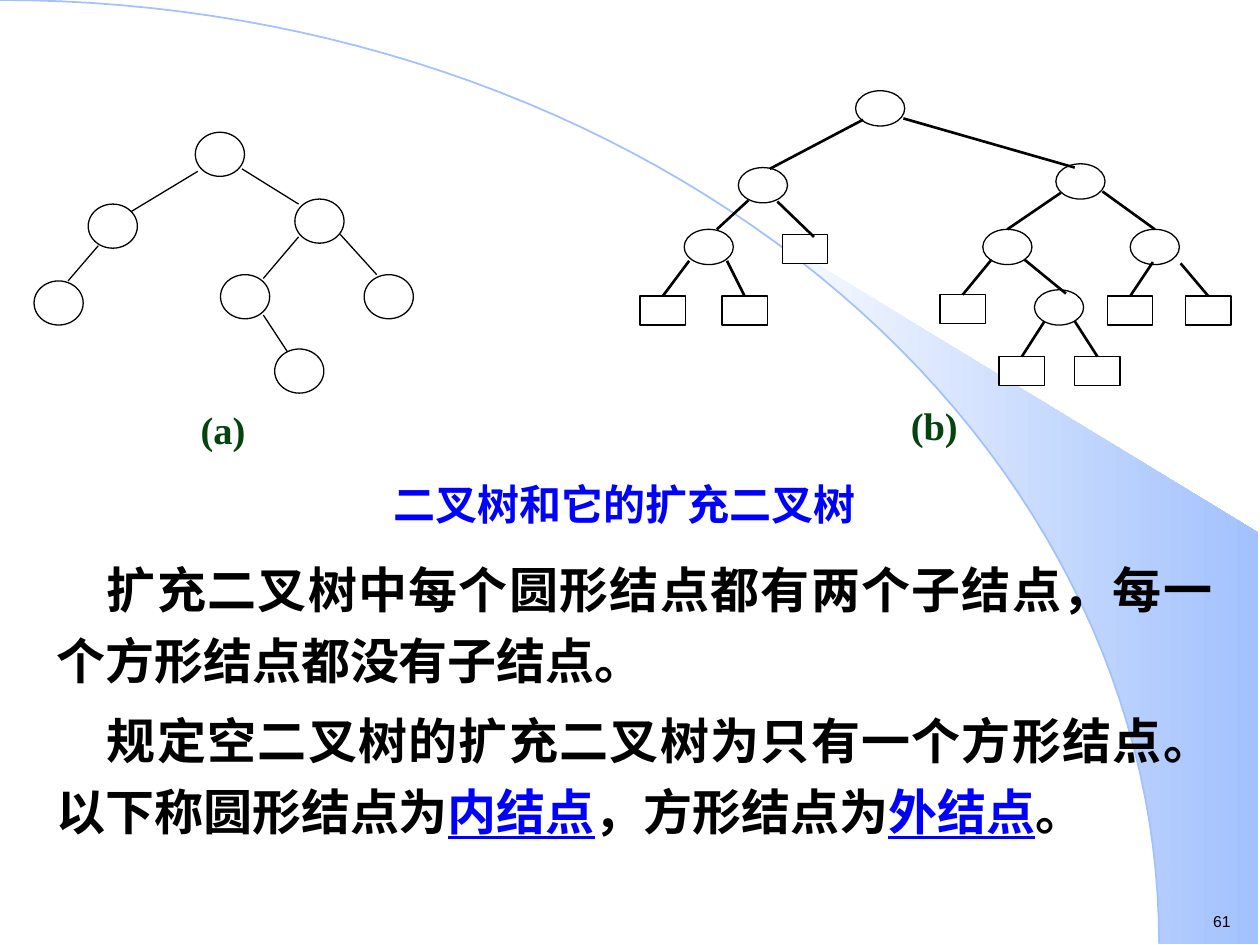
from math import acos, cos, pi, sin
from typing import NamedTuple

from lxml.etree import SubElement
from pptx import Presentation
from pptx.dml.color import RGBColor
from pptx.enum.shapes import MSO_CONNECTOR, MSO_SHAPE
from pptx.enum.text import MSO_ANCHOR, PP_ALIGN
from pptx.oxml.ns import qn
from pptx.util import Emu, Inches, Pt

BLACK = RGBColor(0x00, 0x00, 0x00)
WHITE = RGBColor(0xFF, 0xFF, 0xFF)
SKY = RGBColor(0xA2, 0xC1, 0xFE)
BLUE = RGBColor(0x00, 0x00, 0xFF)
GREEN = RGBColor(0x04, 0x44, 0x0F)
SERIF = "Times New Roman"

# The page is a grid of 100 columns by 75 rows
COLUMNS, ROWS = 100, 75
CELL = Inches(10) // COLUMNS


class Box(NamedTuple):
    left: float
    top: float
    width: float
    height: float

    def inner(self, x, y, width, height):
        return Box(self.left + x, self.top + y, width, height)

    def point(self, x, y):
        return cells(self.left + x, self.top + y)


class Node(NamedTuple):
    """Top left corner, then the start and end of the branch from the parent."""
    corner: tuple
    start: tuple = None
    end: tuple = None  # None: middle of the node's top side


def cells(*lengths):
    return [Emu(round(length * CELL)) for length in lengths]


def add_text(page, box, inset=(0, 0), wrap=True):
    frame = page.shapes.add_textbox(*cells(*box)).text_frame
    frame.word_wrap = wrap
    frame.margin_left = frame.margin_right = Inches(inset[0])
    frame.margin_top = frame.margin_bottom = Inches(inset[1])
    return frame


def add_span(para, text, size, color, font=SERIF, bold=True, underline=False):
    span = para.add_run()
    span.text = text
    span.font.name = font
    span.font.size = Pt(size)
    span.font.bold = bold
    span.font.underline = underline
    span.font.color.rgb = color


def add_label(page, box, text, size, color, spacing):
    frame = add_text(page, box)
    frame.vertical_anchor = MSO_ANCHOR.MIDDLE
    para = frame.paragraphs[0]
    para.alignment = PP_ALIGN.CENTER
    para.line_spacing = Pt(spacing)
    add_span(para, text, size, color)


def add_outline(page, points, closed):
    builder = page.shapes.build_freeform(*points[0])
    builder.add_line_segments(points[1:], close=closed)
    shape = builder.convert_to_shape()
    shape.shadow.inherit = False
    return shape


def draw_backdrop(page, box):
    """Quarter ellipse with a shaded beam to the right of it."""
    radius_x, radius_y, steps = 92, 74.9, 60

    def arc(first_angle):
        angles = [first_angle * (1 - step / steps) for step in range(steps + 1)]
        return [box.point(radius_x * cos(angle), radius_y * (1 - sin(angle)))
                for angle in angles]

    # Beam
    corners = [box.point(box.width, radius_y), box.point(box.width, 42.3)]
    beam = add_outline(page, arc(acos(58.9 / radius_x)) + corners, True)
    beam.fill.gradient()
    beam.fill.gradient_angle = 0
    for stop, position, color in zip(beam.fill.gradient_stops, (0, 1), (WHITE, SKY)):
        stop.position = position
        stop.color.rgb = color
    beam.line.fill.background()

    # Curve
    curve = add_outline(page, arc(pi / 2), False)
    curve.fill.background()
    curve.line.color.rgb = SKY
    curve.line.width = Pt(1)


def add_node(page, box, kind):
    shape = page.shapes.add_shape(kind, *cells(*box))
    shape.shadow.inherit = False
    shape.fill.solid()
    shape.fill.fore_color.rgb = WHITE
    shape.line.color.rgb = BLACK
    shape.line.width = Pt(0.75)
    return shape


def add_branch(page, box, node, shape, weight):
    end = box.point(*(node.end or node.corner))
    branch = page.shapes.add_connector(
        MSO_CONNECTOR.STRAIGHT, *box.point(*node.start), *end)
    if node.end is None:
        branch.end_connect(shape, 0)
    branch.line.color.rgb = BLACK
    branch.line.width = Pt(weight)
    SubElement(branch.element.spPr, qn("a:effectLst"))


def draw_tree(page, box, circles, circle_size, squares, weight):
    groups = ((circles, MSO_SHAPE.OVAL, circle_size),
              (squares, MSO_SHAPE.RECTANGLE, (3.6, 2.3)))
    placed = [(node, add_node(page, box.inner(*node.corner, *size), kind))
              for nodes, kind, size in groups for node in nodes]
    for node, shape in placed:
        if node.start:
            add_branch(page, box, node, shape, weight)


def write_body(page, box):
    paragraphs = (
        [("扩充二叉树中每个圆形结点都有两个子结点，每一个方形结点都没有子结点。", False)],
        [("规定空二叉树的扩充二叉树为只有一个方形结点。以下称圆形结点为", False),
         ("内结点", True), ("，方形结点为", False), ("外结点", True), ("。", False)],
    )
    frame = add_text(page, box, inset=(0.1, 0.05))
    for index, spans in enumerate(paragraphs):
        para = frame.add_paragraph() if index else frame.paragraphs[0]
        para._p.get_or_add_pPr().set("indent", str(Inches(0.4)))
        para.alignment = PP_ALIGN.JUSTIFY
        para.line_spacing = 1.2
        if index:
            para.space_before = Pt(5.6)
        for text, is_term in spans:
            add_span(para, text, 28, BLUE if is_term else BLACK, underline=is_term)


def write_page_number(page, box):
    frame = add_text(page, box, inset=(0.1, 0.05), wrap=False)
    add_span(frame.paragraphs[0], "61", 9, BLACK, font="Arial", bold=False)


# Tree (a): round nodes only
BINARY_TREE = [
    Node((12.8, 0)),
    Node((4.3, 5.7), (13, 3.1), (7.7, 6.3)),
    Node((0, 11.8), (5.1, 9), (2.7, 11.8)),
    Node((20.7, 5.3), (16.5, 2.9), (21, 5.7)),
    Node((14.8, 11.3), (21, 8.3), (18.2, 11.6)),
    Node((26.2, 11.3), (24.3, 8.1), (27.2, 11.3)),
    Node((19.1, 17.2), (18.2, 14.5), (20.1, 17.4)),
]

# Tree (b): round inner nodes and square outer nodes
INNER_NODES = [
    Node((17.1, 0)),
    Node((7.8, 6.1), (17.7, 2.3), (10.3, 6.2)),
    Node((3.5, 11), (8.6, 8.7), (6.1, 11)),
    Node((33, 5.8), (20.9, 2.2), (34.5, 6.1)),
    Node((27.2, 11), (33.4, 8.1)),
    Node((38.9, 11), (36.7, 8)),
    Node((31.3, 15.8), (30.5, 13.4), (33.8, 16.1)),
]
OUTER_NODES = [
    Node((0, 16.3), (3.9, 13.5)),
    Node((6.5, 16.3), (6.9, 13.5)),
    Node((11.3, 11.4), (10.9, 8.8), (13.8, 11.6)),
    Node((23.8, 16.2), (27.9, 13.4)),
    Node((28.5, 21.1), (32.1, 18.3)),
    Node((34.5, 21.1), (34.5, 18.3)),
    Node((37.1, 16.3), (40.7, 13.6)),
    Node((43.3, 16.3), (42.9, 13.7)),
]


def main():
    deck = Presentation()
    deck.slide_width, deck.slide_height = cells(COLUMNS, ROWS)
    page = deck.slides.add_slide(deck.slide_layouts[6])

    draw_backdrop(page, Box(0, 0, 99.9, ROWS))
    write_page_number(page, Box(95.3, 71.9, 3.5, 2.5))
    write_body(page, Box(3.5, 43, 93.7, 26))
    draw_tree(page, Box(50.8, 7.2, 46.9, 23.4), INNER_NODES, (3.9, 2.8), OUTER_NODES, 1.5)
    draw_tree(page, Box(2.7, 10.5, 30.1, 20.7), BINARY_TREE, (3.9, 3.5), [], 0.75)
    add_label(page, Box(71.3, 32.5, 5.7, 3.1), "(b)", 22, GREEN, 22)
    add_label(page, Box(13.8, 32.6, 7.8, 3.3), "(a)", 22, GREEN, 24)
    add_label(page, Box(14.6, 38.8, 70, 3), "二叉树和它的扩充二叉树", 24, BLUE, 24)
    deck.save("out.pptx")


if __name__ == "__main__":
    main()
